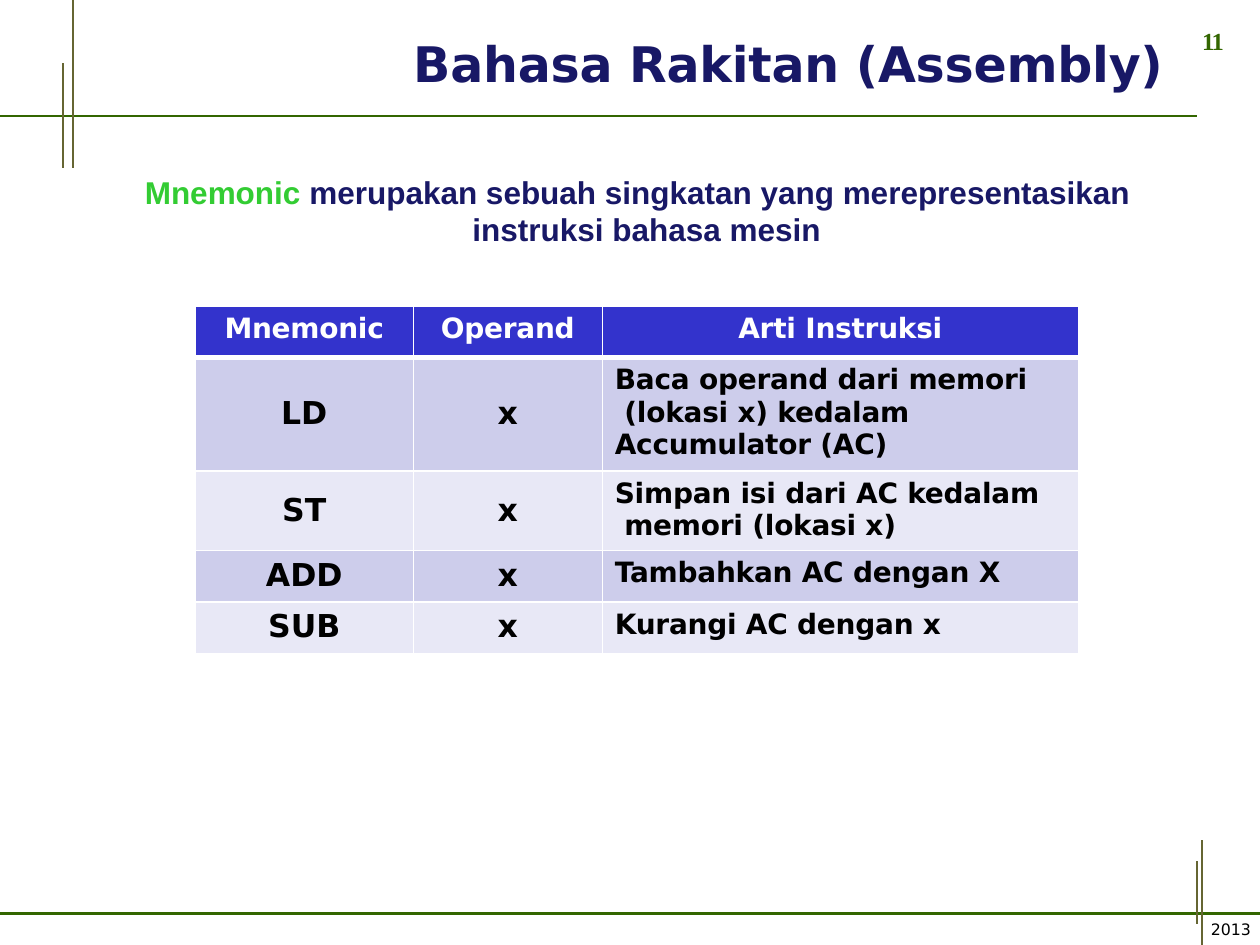
from lxml.etree import SubElement
from pptx import Presentation
from pptx.dml.color import RGBColor
from pptx.enum.shapes import MSO_CONNECTOR as Connector
from pptx.enum.text import PP_ALIGN as Align
from pptx.oxml.ns import qn
from pptx.util import Inches, Pt

GREEN = RGBColor(0x33, 0x66, 0x00)
OLIVE = RGBColor(0x66, 0x66, 0x33)
LIME = RGBColor(0x33, 0xCC, 0x33)
NAVY = RGBColor(0x18, 0x18, 0x66)
BLUE = RGBColor(0x33, 0x33, 0xCC)
LAVENDER = RGBColor(0xCD, 0xCD, 0xEB)
PALE = RGBColor(0xE8, 0xE8, 0xF6)
BLACK = RGBColor(0x00, 0x00, 0x00)
WHITE = RGBColor(0xFF, 0xFF, 0xFF)

SANS, ARIAL, SERIF = "DejaVu Sans", "Arial", "Times New Roman"

# Start x, start y, end x, end y, colour, width in points
FRAME_LINES = [
    (0, 0.92, 9.5, 0.92, GREEN, 1.56),
    (0.58, 0, 0.58, 1.33, OLIVE, 0.96),
    (0.5, 0.5, 0.5, 1.33, OLIVE, 0.96),
    (10, 7.25, 0, 7.25, GREEN, 1.56),
    (9.5, 7.33, 9.5, 6.83, OLIVE, 0.96),
    (9.54, 7.5, 9.54, 6.67, OLIVE, 0.96),
]

COLUMN_WIDTHS = [1.73, 1.5, 3.78]
HEADINGS = ["Mnemonic", "Operand", "Arti Instruksi"]
# Row height, top margin of the two short columns, texts
INSTRUCTIONS = [
    (0.9, 0.3, ["LD", "x", "Baca operand dari memori\v (lokasi x) kedalam Accumulator (AC)"]),
    (0.63, 0.17, ["ST", "x", "Simpan isi dari AC kedalam\v memori (lokasi x)"]),
    (0.41, 0.05, ["ADD", "x", "Tambahkan AC dengan X"]),
    (0.41, 0.05, ["SUB", "x", "Kurangi AC dengan x"]),
]
HEADER_HEIGHT = 0.41


def style_font(para, name, size, color=None, bold=True, tracking=0):
    """Set the paragraph font; tracking is letter spacing in points."""
    font = para.font
    font.name, font.size, font.bold = name, Pt(size), bold
    if color is not None:
        font.color.rgb = color
    if tracking:
        font._rPr.set("spc", str(round(tracking * 100)))


def add_frame(page):
    for x1, y1, x2, y2, color, width in FRAME_LINES:
        rule = page.shapes.add_connector(
            Connector.STRAIGHT, Inches(x1), Inches(y1), Inches(x2), Inches(y2))
        rule.line.color.rgb = color
        rule.line.width = Pt(width)
        SubElement(rule._element.spPr, qn("a:effectLst"))


def add_text(page, left, top, width, height, text=""):
    """Add a text box with no side margins and return its paragraph."""
    box = page.shapes.add_textbox(
        Inches(left), Inches(top), Inches(width), Inches(height))
    frame = box.text_frame
    frame.word_wrap = True
    frame.margin_left = frame.margin_right = frame.margin_bottom = 0
    frame.margin_top = Inches(0.01)
    para = frame.paragraphs[0]
    para.text = text
    return para


def add_definition(page, left, top, width, height):
    para = add_text(page, left, top, width, height)
    style_font(para, ARIAL, 18)
    properties = para._p.get_or_add_pPr()
    properties.set("marL", str(Inches(2.61)))
    properties.set("indent", str(Inches(-2.6)))
    for text, color in [
        ("Mnemonic ", LIME),
        ("merupakan sebuah singkatan yang merepresentasikan instruksi bahasa mesin", NAVY),
    ]:
        span = para.add_run()
        span.text = text
        span.font.color.rgb = color


def set_borders(cell, top, bottom):
    """Draw white borders, 1 pt at the sides."""
    properties = cell._tc.get_or_add_tcPr()
    for side, width in [("L", 1), ("R", 1), ("T", top), ("B", bottom)]:
        border = SubElement(properties, qn(f"a:ln{side}"), w=str(Pt(width)))
        fill = SubElement(border, qn("a:solidFill"))
        SubElement(fill, qn("a:srgbClr"), val=str(WHITE))


def fill_cell(cell, text, fill, color, size, align, left=0, top=0.05):
    cell.margin_left, cell.margin_top = Inches(left), Inches(top)
    cell.margin_right = cell.margin_bottom = 0
    cell.fill.solid()
    cell.fill.fore_color.rgb = fill
    para = cell.text_frame.paragraphs[0]
    para.text = text
    para.alignment = align
    style_font(para, SANS, size, color, tracking=-0.1 if size == 16 else 0)


def add_instruction_table(page, left, top):
    heights = [HEADER_HEIGHT] + [height for height, _, _ in INSTRUCTIONS]
    table = page.shapes.add_table(
        len(heights), len(COLUMN_WIDTHS), Inches(left), Inches(top),
        Inches(sum(COLUMN_WIDTHS)), Inches(sum(heights))).table
    for column, width in zip(table.columns, COLUMN_WIDTHS):
        column.width = Inches(width)
    for row, height in zip(table.rows, heights):
        row.height = Inches(height)

    for column, heading in enumerate(HEADINGS):
        cell = table.cell(0, column)
        set_borders(cell, 1, 3)
        fill_cell(cell, heading, BLUE, WHITE, 16, Align.CENTER)

    for row, (_, margin, texts) in enumerate(INSTRUCTIONS, start=1):
        fill = LAVENDER if row % 2 else PALE
        for column, text in enumerate(texts):
            cell = table.cell(row, column)
            set_borders(cell, 3 if row == 1 else 1, 1)
            if column == 2:
                fill_cell(cell, text, fill, BLACK, 16, Align.LEFT, left=0.1)
            else:
                fill_cell(cell, text, fill, BLACK, 18, Align.CENTER, top=margin)


def main():
    deck = Presentation()
    deck.slide_width, deck.slide_height = Inches(10), Inches(7.5)
    page = deck.slides.add_slide(deck.slide_layouts[6])
    add_frame(page)
    number = add_text(page, 9.54, 0.2, 0.2, 0.26, "11")
    style_font(number, SERIF, 14, GREEN, tracking=-0.7)
    year = add_text(page, 9.61, 7.29, 0.35, 0.18, "2013")
    style_font(year, SANS, 9, BLACK, bold=False)
    title = add_text(page, 3.28, 0.26, 6.07, 0.49, "Bahasa Rakitan (Assembly)")
    style_font(title, SANS, 28, NAVY, tracking=-0.1)
    add_definition(page, 1.14, 1.36, 7.84, 0.63)
    add_instruction_table(page, 1.55, 2.43)
    deck.save("out.pptx")


if __name__ == "__main__":
    main()
